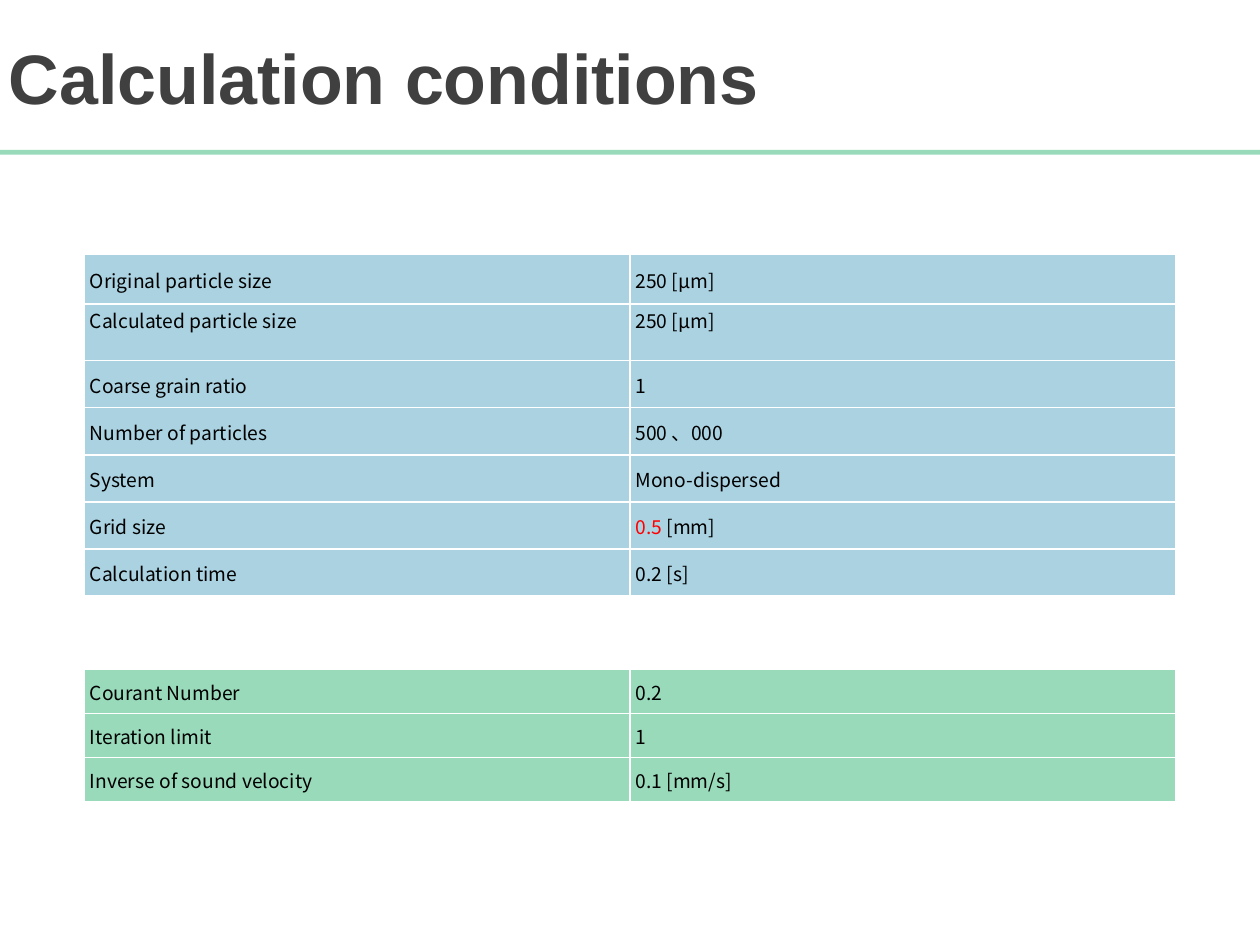
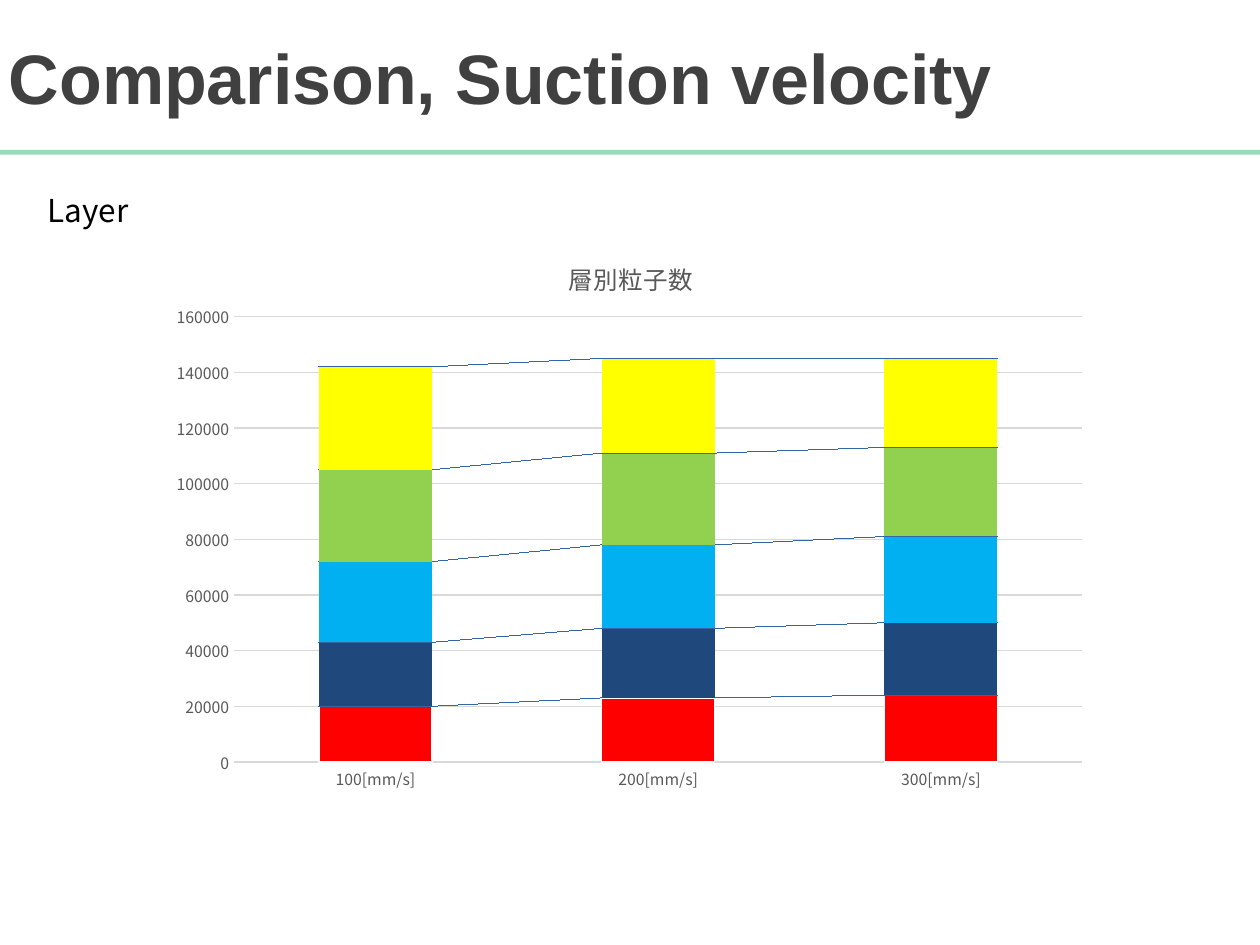
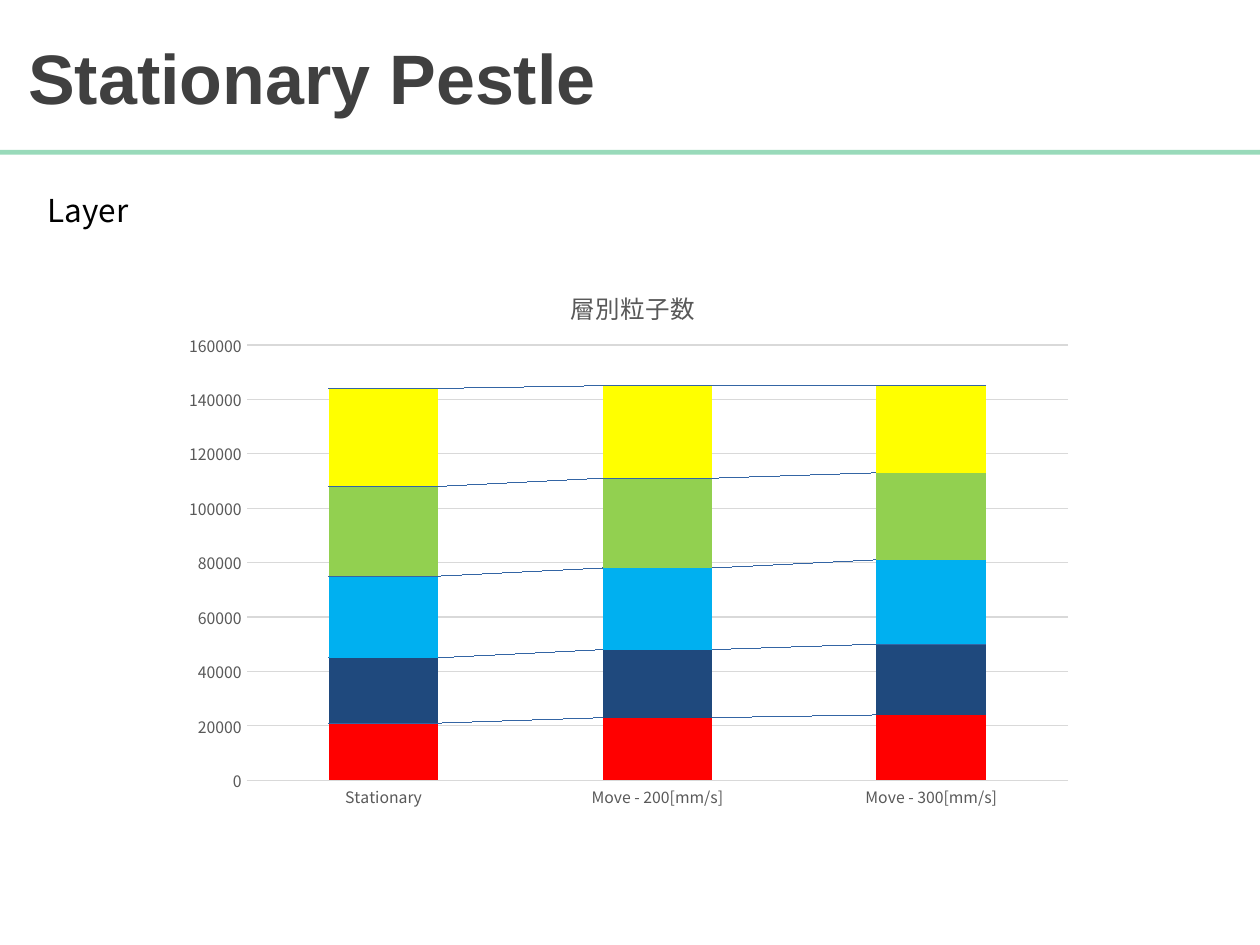
"""Build three slides on particle calculation conditions and layer counts."""

import dataclasses

import lxml.etree
import pptx
import pptx.chart.data
import pptx.dml.color
import pptx.enum.chart
import pptx.enum.shapes
import pptx.enum.text
import pptx.oxml.ns
import pptx.util

Cm = pptx.util.Cm
Pt = pptx.util.Pt
qn = pptx.oxml.ns.qn


@dataclasses.dataclass(frozen=True)
class Theme:
    heading_font: str = "Arial"
    body_font: str = "Noto Sans CJK KR"
    heading: str = "404040"
    ink: str = "000000"
    accent: str = "FF0000"
    white: str = "FFFFFF"
    green: str = "99DABA"
    blue: str = "ABD2E1"
    axis_text: str = "595959"
    grid: str = "D9D9D9"
    series_line: str = "3465A4"
    layers: tuple[str, ...] = ("FF0000", "1F497D", "00B0F0", "92D050", "FFFF00")
    title_size: float = 40
    caption_size: float = 18
    table_size: float = 11
    chart_title_size: float = 14
    chart_size: float = 10
    axis_size: float = 9
    hairline: float = 0.75
    border: float = 1


THEME = Theme()


@dataclasses.dataclass(frozen=True)
class Condition:
    label: str
    value: str
    accent: str = ""
    height: float = 0.95
    at_top: bool = False


@dataclasses.dataclass(frozen=True)
class ConditionTable:
    top: float
    fill: str
    rows: tuple[Condition, ...]


@dataclasses.dataclass(frozen=True)
class LayerChart:
    left: float
    top: float
    width: float
    height: float
    categories: tuple[str, ...]
    layers: tuple[tuple[int, ...], ...]
    outline_first: bool = False


PARTICLES = ConditionTable(5.13, THEME.blue, (
    Condition("Original particle size", "250 [μm]", height=1.0),
    Condition("Calculated particle size", "250 [μm]", height=1.14, at_top=True),
    Condition("Coarse grain ratio", "1"),
    Condition("Number of particles", "500 、000"),
    Condition("System", "Mono-dispersed"),
    Condition("Grid size", " [mm]", accent="0.5"),
    Condition("Calculation time", "0.2 [s]"),
))
SOLVER = ConditionTable(13.49, THEME.green, (
    Condition("Courant Number", "0.2", height=0.89),
    Condition("Iteration limit", "1", height=0.89),
    Condition("Inverse of sound velocity", "0.1 [mm/s]", height=0.89),
))
SUCTION = LayerChart(
    3.2, 4.52, 19, 11.66,
    ("100[mm/s]", "200[mm/s]", "300[mm/s]"),
    ((20000, 23000, 24000), (23000, 25000, 26000), (29000, 30000, 31000),
     (33000, 33000, 32000), (37000, 34000, 32000)),
    outline_first=True,
)
PESTLE = LayerChart(
    3.5, 5.13, 18.4, 11.4,
    ("Stationary", "Move - 200[mm/s]", "Move - 300[mm/s]"),
    ((21000, 23000, 24000), (24000, 25000, 26000), (30000, 30000, 31000),
     (33000, 33000, 32000), (36000, 34000, 32000)),
)


def rgb(color: str) -> pptx.dml.color.RGBColor:
    return pptx.dml.color.RGBColor.from_string(color)


def style_font(font, size: float, color: str, name: str = THEME.body_font) -> None:
    font.size = Pt(size)
    font.name = name
    font.color.rgb = rgb(color)


def write(para, text: str, *, size: float, color: str = THEME.ink,
          name: str = THEME.body_font, bold: bool = False) -> None:
    span = para.add_run()
    span.text = text
    style_font(span.font, size, color, name)
    span.font.bold = bold
    east_asian = lxml.etree.Element(qn("a:ea"), typeface=name)
    span.font._element.find(qn("a:latin")).addnext(east_asian)


def add_line_xml(parent, tag: str, color: str, width: float):
    line = lxml.etree.SubElement(parent, qn(tag), w=str(Pt(width)))
    fill = lxml.etree.SubElement(line, qn("a:solidFill"))
    lxml.etree.SubElement(fill, qn("a:srgbClr"), val=color)


def start_page(deck, title: str, indent: float = 0.18):
    page = deck.slides.add_slide(deck.slide_layouts[5])
    box = page.shapes.title
    box.left, box.top, box.width, box.height = Cm(0), Cm(0.05), Cm(25.4), Cm(2.97)
    frame = box.text_frame
    frame.word_wrap = True
    frame.auto_size = pptx.enum.text.MSO_AUTO_SIZE.NONE
    frame.vertical_anchor = pptx.enum.text.MSO_ANCHOR.MIDDLE
    frame.margin_left = Cm(indent)
    para = frame.paragraphs[0]
    para.alignment = pptx.enum.text.PP_ALIGN.LEFT
    write(para, title, size=THEME.title_size, color=THEME.heading,
          name=THEME.heading_font, bold=True)
    band = page.shapes.add_shape(pptx.enum.shapes.MSO_SHAPE.RECTANGLE,
                                 Cm(0), Cm(3.02), Cm(25.4), Cm(0.1))
    band.shadow.inherit = False
    band.fill.solid()
    band.fill.fore_color.rgb = rgb(THEME.green)
    band.line.fill.background()
    return page


def add_caption(page, text: str) -> None:
    box = page.shapes.add_textbox(Cm(0.71), Cm(3.73), Cm(13.2), Cm(1.02))
    box.text_frame.word_wrap = True
    write(box.text_frame.paragraphs[0], text, size=THEME.caption_size)


def fill_cell(cell, row: Condition, fill: str, text: str, accent: str = "") -> None:
    anchors = pptx.enum.text.MSO_ANCHOR
    cell.vertical_anchor = anchors.TOP if row.at_top else anchors.MIDDLE
    cell.margin_left = Cm(0.11)
    cell.margin_right = cell.margin_top = Cm(0.03)
    cell.margin_bottom = Cm(0)
    properties = cell._tc.get_or_add_tcPr()
    for side in ("a:lnL", "a:lnR", "a:lnT", "a:lnB"):
        add_line_xml(properties, side, THEME.white, THEME.border)
    cell.fill.solid()
    cell.fill.fore_color.rgb = rgb(fill)
    para = cell.text_frame.paragraphs[0]
    if accent:
        write(para, accent, size=THEME.table_size, color=THEME.accent)
    write(para, text, size=THEME.table_size)


def add_conditions(page, conditions: ConditionTable) -> None:
    height = sum(row.height for row in conditions.rows)
    table = page.shapes.add_table(len(conditions.rows), 2, Cm(1.7), Cm(conditions.top),
                                  Cm(22), Cm(height)).table
    table.first_row = table.horz_banding = False
    for index, row in enumerate(conditions.rows):
        table.rows[index].height = Cm(row.height)
        fill_cell(table.cell(index, 0), row, conditions.fill, row.label)
        fill_cell(table.cell(index, 1), row, conditions.fill, row.value, row.accent)


def set_layout(parent, position: int, **edges: float) -> None:
    for previous in parent.findall(qn("c:layout")):
        parent.remove(previous)
    layout = lxml.etree.Element(qn("c:layout"))
    parent.insert(position, layout)
    manual = lxml.etree.SubElement(layout, qn("c:manualLayout"))
    if "w" in edges:
        lxml.etree.SubElement(manual, qn("c:layoutTarget"), val="inner")
    for edge in ("x", "y"):
        lxml.etree.SubElement(manual, qn(f"c:{edge}Mode"), val="edge")
    for edge, share in edges.items():
        lxml.etree.SubElement(manual, qn(f"c:{edge}"), val=str(share))


def style_axis(axis) -> None:
    axis.major_tick_mark = axis.minor_tick_mark = pptx.enum.chart.XL_TICK_MARK.NONE
    style_font(axis.tick_labels.font, THEME.axis_size, THEME.axis_text)


def style_line(line, color: str) -> None:
    line.color.rgb = rgb(color)
    line.width = Pt(THEME.hairline)


def add_series_lines(bars) -> None:
    lines = lxml.etree.Element(qn("c:serLines"))
    bars.find(qn("c:overlap")).addnext(lines)
    properties = lxml.etree.SubElement(lines, qn("c:spPr"))
    add_line_xml(properties, "a:ln", THEME.series_line, THEME.hairline)


def add_layer_chart(page, layer_chart: LayerChart) -> None:
    data = pptx.chart.data.CategoryChartData(number_format="0")
    data.categories = layer_chart.categories
    for number, values in enumerate(layer_chart.layers, start=1):
        data.add_series(f"Series {number}", values)
    chart = page.shapes.add_chart(
        pptx.enum.chart.XL_CHART_TYPE.COLUMN_STACKED,
        Cm(layer_chart.left), Cm(layer_chart.top),
        Cm(layer_chart.width), Cm(layer_chart.height), data).chart
    chart.has_legend = False
    style_font(chart.font, THEME.chart_size, THEME.ink)

    write(chart.chart_title.text_frame.paragraphs[0], "層別粒子数",
          size=THEME.chart_title_size, color=THEME.axis_text)
    chart.chart_title.include_in_layout = False
    set_layout(chart.chart_title.element, 1, x=0.43, y=0.05)
    set_layout(chart.element.find(".//" + qn("c:plotArea")), 0,
               x=0.08, y=0.16, w=0.9, h=0.77)

    style_axis(chart.category_axis)
    style_line(chart.category_axis.format.line, THEME.grid)
    values_axis = chart.value_axis
    style_axis(values_axis)
    values_axis.format.line.fill.background()
    values_axis.minimum_scale, values_axis.maximum_scale = 0, 160000
    values_axis.major_unit = 20000
    values_axis.has_major_gridlines = True
    style_line(values_axis.major_gridlines.format.line, THEME.grid)

    plot = chart.plots[0]
    plot.vary_by_categories = False
    plot.gap_width, plot.overlap = 150, 100
    for series, color in zip(plot.series, THEME.layers):
        series.format.fill.solid()
        series.format.fill.fore_color.rgb = rgb(color)
    if layer_chart.outline_first:
        style_line(plot.series[0].format.line, THEME.white)
    add_series_lines(chart.element.find(".//" + qn("c:barChart")))


def main() -> None:
    deck = pptx.Presentation()
    deck.slide_width, deck.slide_height = Cm(25.4), Cm(19.05)

    page = start_page(deck, "Calculation conditions")
    for conditions in (PARTICLES, SOLVER):
        add_conditions(page, conditions)

    for title, indent, layer_chart in (
        ("Comparison, Suction velocity", 0.18, SUCTION),
        ("Stationary Pestle", 0.57, PESTLE),
    ):
        page = start_page(deck, title, indent)
        add_caption(page, "Layer")
        add_layer_chart(page, layer_chart)

    deck.save("out.pptx")


if __name__ == "__main__":
    main()
